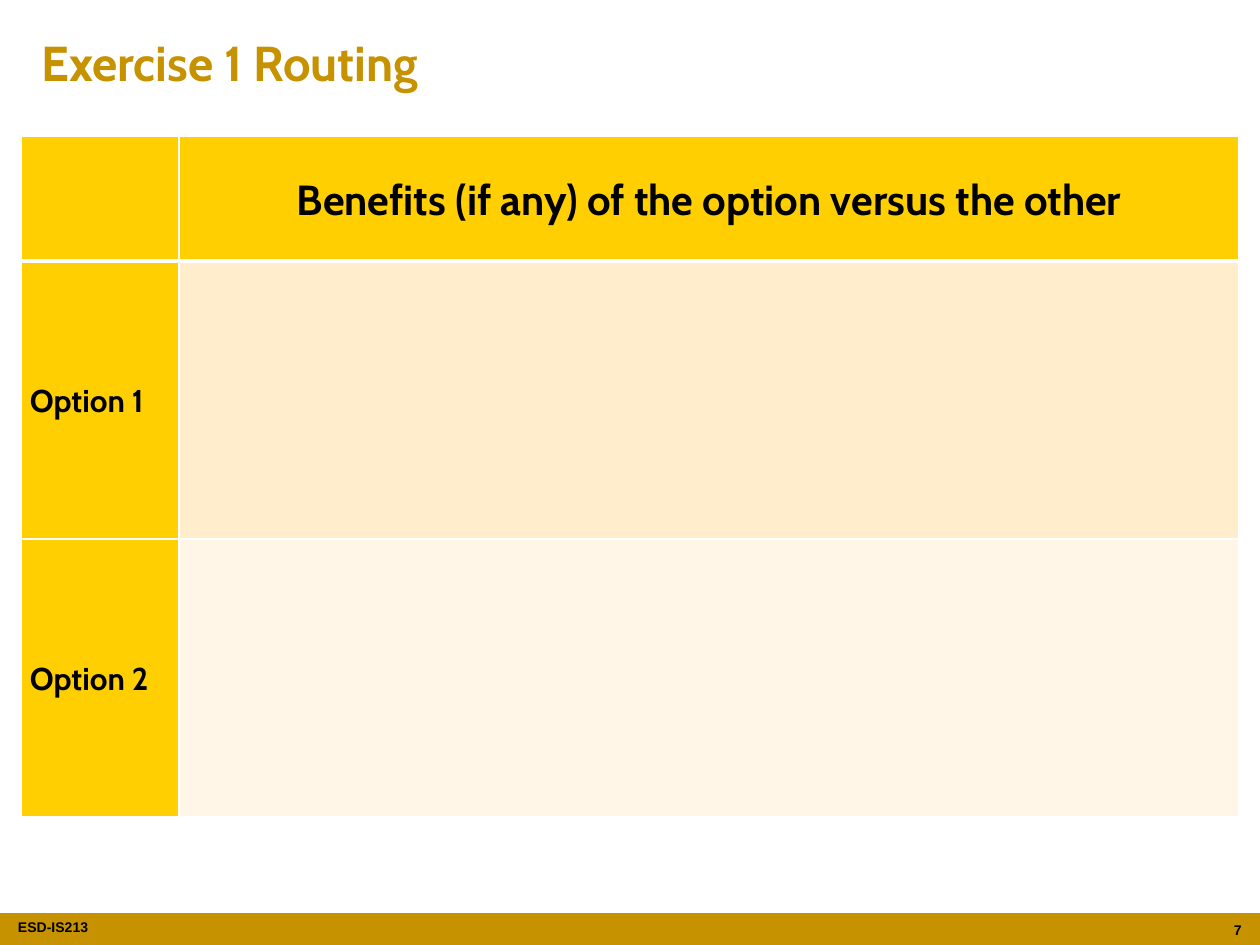
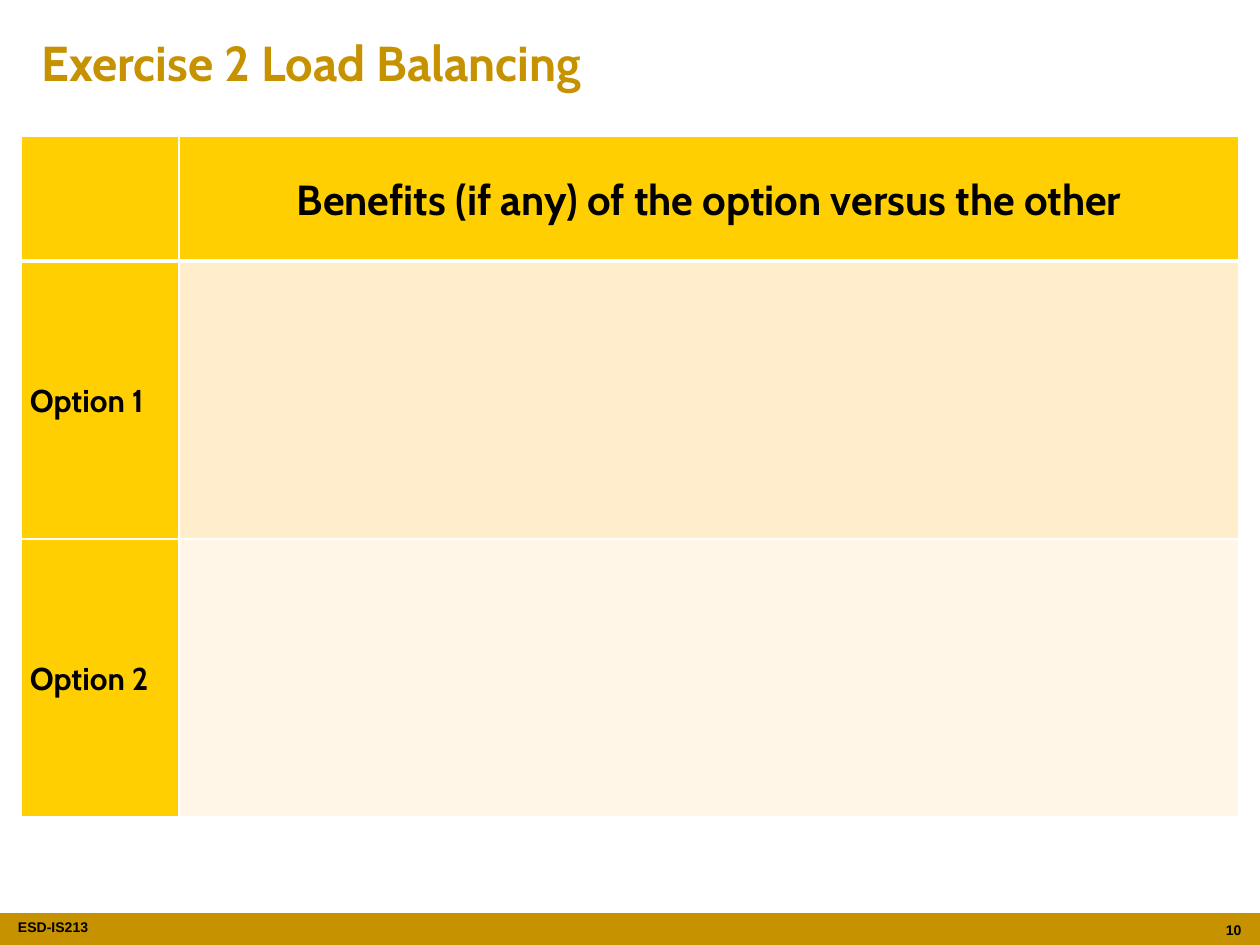
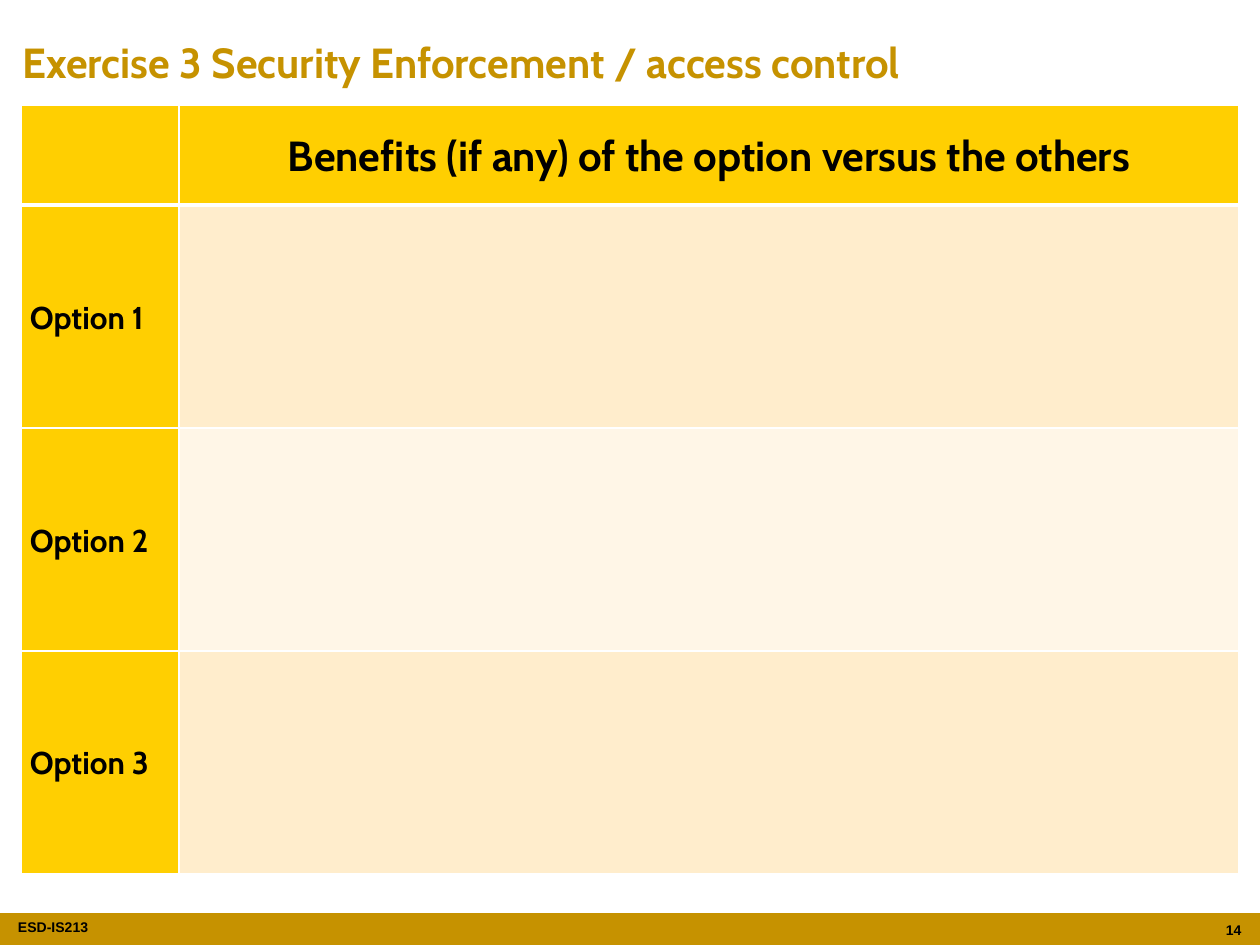
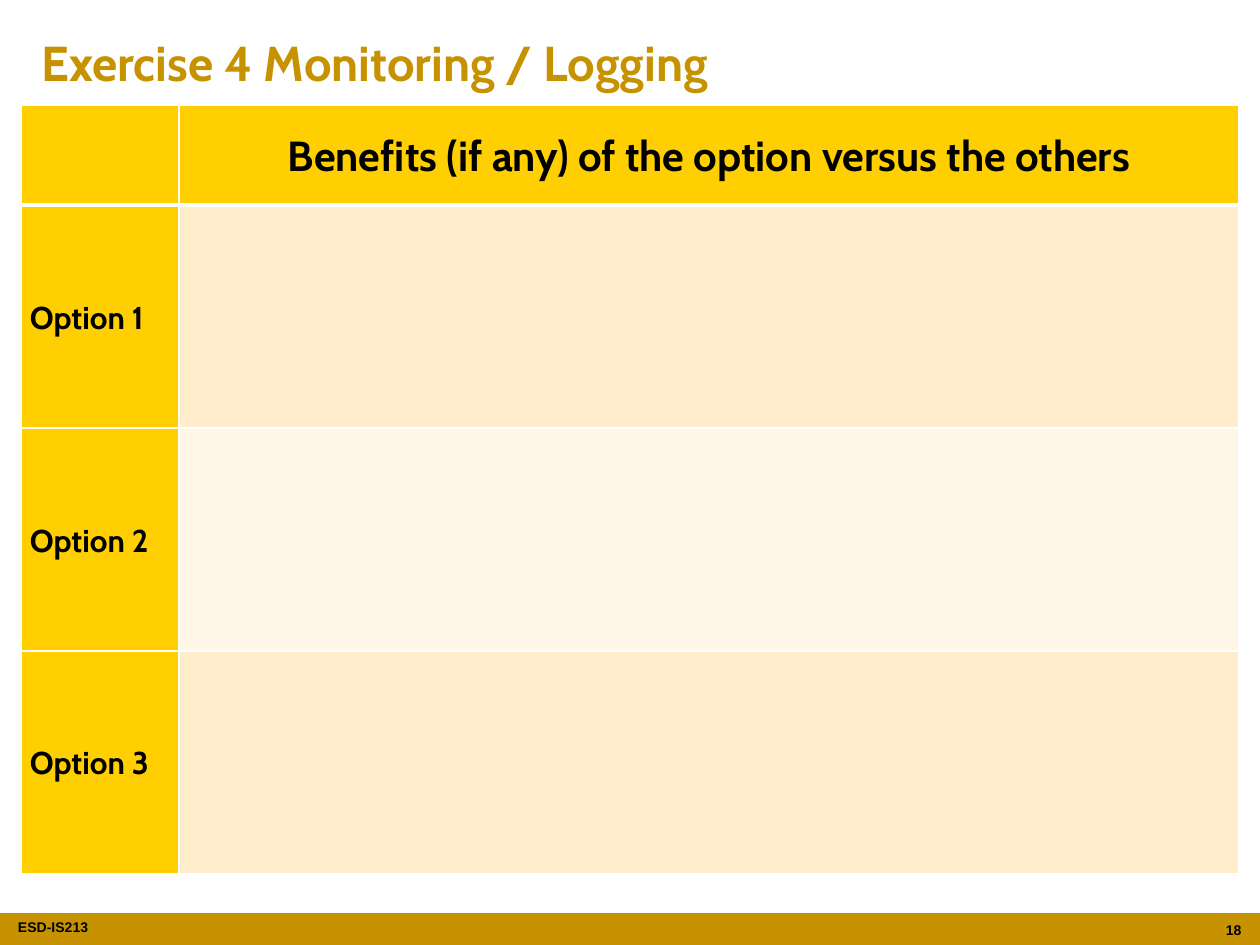
"""Build the four exercise slides that compare options in a table."""

import lxml.etree
import pptx
import pptx.dml.color
import pptx.enum.shapes
import pptx.enum.text
import pptx.oxml.ns
import pptx.util

ALIGN = pptx.enum.text.PP_ALIGN
MIDDLE = pptx.enum.text.MSO_ANCHOR.MIDDLE
EMU_PER_PX = 914400 / 126
PAGE_WIDTH, PAGE_HEIGHT = 1260, 945
LABEL_WIDTH = 158

COLOURS = {
    "gold": "C69200",
    "yellow": "FFCF01",
    "band_dark": "FFEDCC",
    "band_light": "FFF6E7",
    "line": "FFFFFF",
    "ink": "000000",
}
FOOTER_FONT = {"name": "Arial", "size": 8, "bold": True, "colour": "ink"}
TITLE_FONT = {"name": "Cabin", "size": 28, "bold": True, "colour": "gold"}
HEADER_FONT = {"name": "Cabin", "size": 24, "bold": True, "colour": "ink"}
LABEL_FONT = {**HEADER_FONT, "size": 18}

TITLE_BOX = (29, 26, 1202, 72)
LONG_TITLE_BOX = (10, 30, 1250, 63)
TWO_OPTIONS = {
    "box": (21, 136, 1218, 681),
    "header_height": 125,
    "header": "Benefits (if any) of the option versus the other",
    "options": 2,
}
THREE_OPTIONS = {
    "box": (21, 105, 1218, 769),
    "header_height": 100,
    "header": "Benefits (if any) of the option versus the others",
    "options": 3,
}
EXERCISES = [
    ("Exercise 1 Routing", 7, TITLE_BOX, 28, TWO_OPTIONS),
    ("Exercise 2 Load Balancing", 10, TITLE_BOX, 28, TWO_OPTIONS),
    ("Exercise 3 Security Enforcement / access control", 14,
     LONG_TITLE_BOX, 24, THREE_OPTIONS),
    ("Exercise 4 Monitoring / Logging", 18, TITLE_BOX, 28, THREE_OPTIONS),
]


def px(length):
    """Turn pixels into EMU."""
    return pptx.util.Emu(round(length * EMU_PER_PX))


def colour(name):
    """Return the named colour of the deck."""
    return pptx.dml.color.RGBColor.from_string(COLOURS[name])


def paint(target, name):
    """Fill a shape or cell with one colour."""
    target.fill.solid()
    target.fill.fore_color.rgb = colour(name)


def apply(target, values):
    """Set attributes of an object from a dict."""
    for name, value in values.items():
        setattr(target, name, value)


def write(frame, text, font, align=ALIGN.LEFT, spacing=None):
    """Write one formatted paragraph into a text frame."""
    para = frame.paragraphs[0]
    apply(para, {"alignment": align, "line_spacing": spacing})
    span = para.add_run()
    span.text = text
    apply(span.font, {"name": font["name"], "bold": font["bold"],
                      "size": pptx.util.Pt(font["size"])})
    span.font.color.rgb = colour(font["colour"])


def add_text(page, box, text, font, align=ALIGN.LEFT, **frame_format):
    """Add a wrapping text box."""
    frame = page.shapes.add_textbox(*map(px, box)).text_frame
    apply(frame, {"word_wrap": True, **frame_format})
    write(frame, text, font, align)


def add_footer(page, box, number):
    """Add the band with the course code and the page number."""
    left, top, width, height = box
    band = page.shapes.add_shape(
        pptx.enum.shapes.MSO_SHAPE.RECTANGLE, *map(px, box))
    band.shadow.inherit = False
    paint(band, "gold")
    band.line.fill.background()
    add_text(page, (left + 18, top - 1, 163, height), "ESD-IS213",
             FOOTER_FONT, margin_left=0, margin_right=0)
    add_text(page, (left + width - 55, top + 2, 49, height - 2), str(number),
             FOOTER_FONT, ALIGN.RIGHT)


def set_borders(cell, top, bottom):
    """Draw the four cell borders, with top and bottom widths in points."""
    properties = cell._tc.get_or_add_tcPr()
    sides = {"lnL": 1, "lnR": 1, "lnT": top, "lnB": bottom}
    for index, (side, width) in enumerate(sides.items()):
        line = lxml.etree.Element(pptx.oxml.ns.qn(f"a:{side}"),
                                  w=str(pptx.util.Pt(width)))
        fill = lxml.etree.SubElement(line, pptx.oxml.ns.qn("a:solidFill"))
        lxml.etree.SubElement(fill, pptx.oxml.ns.qn("a:srgbClr"),
                              val=COLOURS["line"])
        properties.insert(index, line)


def fill_cell(cell, row, column, header):
    """Colour, frame and label one cell by its place in the table."""
    if row == 0 or column == 0:
        paint(cell, "yellow")
    else:
        paint(cell, "band_dark" if row % 2 else "band_light")
    set_borders(cell, top=3 if row == 1 else 1, bottom=3 if row == 0 else 1)
    apply(cell, {"vertical_anchor": MIDDLE, "margin_left": px(9),
                 "margin_right": px(9), "margin_top": 0, "margin_bottom": 0})
    if row == 0 and column == 1:
        write(cell.text_frame, header, HEADER_FONT, ALIGN.CENTER, 1.07)
    elif row > 0 and column == 0:
        write(cell.text_frame, f"Option {row}", LABEL_FONT,
              ALIGN.JUSTIFY, 1.07)


def add_options_table(page, box, header_height, header, options):
    """Add the table with one row for each option."""
    table = page.shapes.add_table(options + 1, 2, *map(px, box)).table
    width, height = box[2:]
    for column, size in zip(table.columns, (LABEL_WIDTH, width - LABEL_WIDTH)):
        column.width = px(size)
    option_height = (height - header_height) / options
    for row_index, row in enumerate(table.rows):
        row.height = px(option_height if row_index else header_height)
        for column_index, cell in enumerate(row.cells):
            fill_cell(cell, row_index, column_index, header)


def add_exercise(deck, title, number, title_box, title_size, table):
    """Add one exercise slide."""
    page = deck.slides.add_slide(deck.slide_layouts[6])
    add_footer(page, (0, 913, PAGE_WIDTH, 32), number)
    add_text(page, title_box, title, {**TITLE_FONT, "size": title_size},
             vertical_anchor=MIDDLE)
    add_options_table(page, **table)


def main():
    """Build and save the deck."""
    deck = pptx.Presentation()
    apply(deck, {"slide_width": px(PAGE_WIDTH),
                 "slide_height": px(PAGE_HEIGHT)})
    for exercise in EXERCISES:
        add_exercise(deck, *exercise)
    deck.save("out.pptx")


if __name__ == "__main__":
    main()
